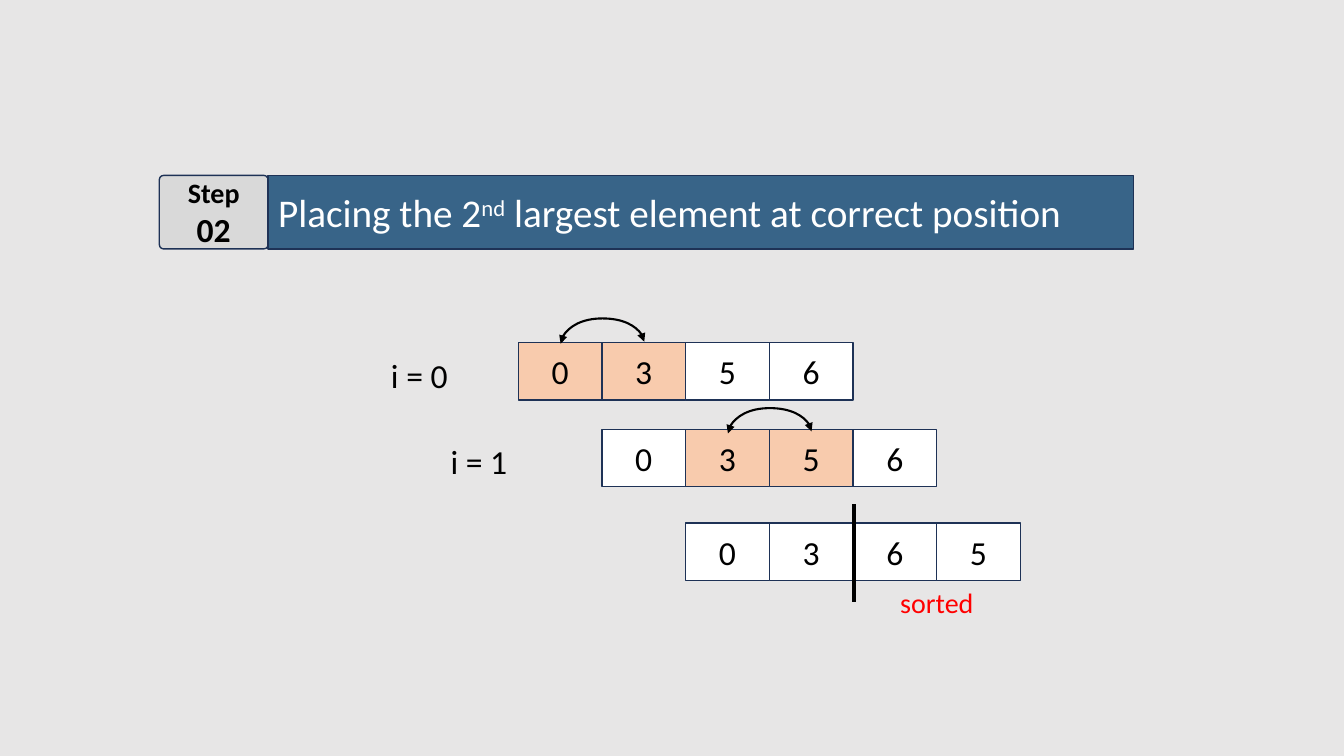
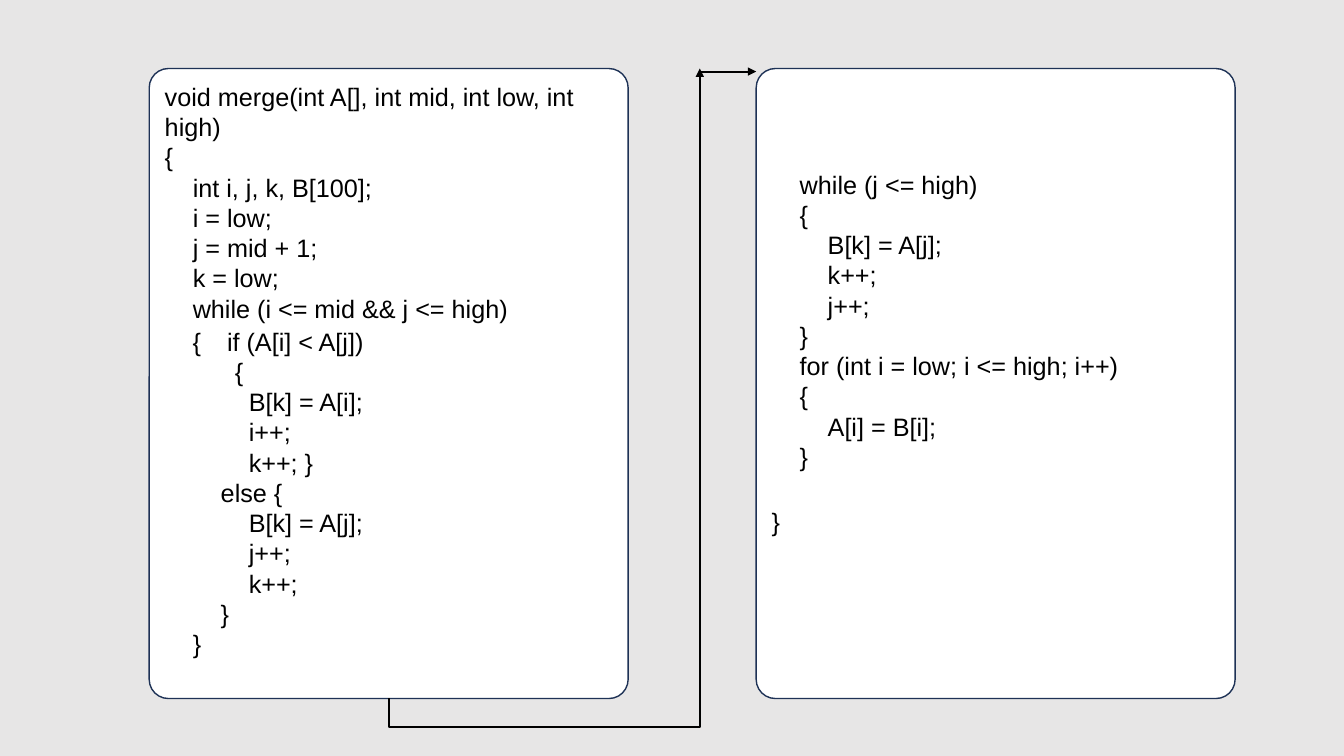
import pptx
import pptx.util
import pptx.dml.color
import pptx.enum.shapes
import pptx.enum.text
import pptx.oxml.ns
import lxml.etree

Inches, Pt = pptx.util.Inches, pptx.util.Pt
rgb = pptx.dml.color.RGBColor.from_string
SHAPE = pptx.enum.shapes.MSO_SHAPE
LINK = pptx.enum.shapes.MSO_CONNECTOR
ALIGN = pptx.enum.text.PP_ALIGN
ANCHOR = pptx.enum.text.MSO_ANCHOR
qn = pptx.oxml.ns.qn

BACKGROUND = "E7E6E6"
OUTLINE = "1E3256"
BANNER = "386488"
BADGE = "D9D9D9"
COMPARED = "F8CBAD"
WHITE = "FFFFFF"
BLACK = "000000"
RED = "FF0000"


def box(s, kind, x, y, w, h, text, size, fill=None, color=BLACK, font="Calibri", align=ALIGN.LEFT):
    """Add an outlined shape with text, or a plain text box when kind is None."""
    frame = Inches(x), Inches(y), Inches(w), Inches(h)
    if kind is None:
        sp = s.shapes.add_textbox(*frame)
    else:
        sp = s.shapes.add_shape(kind, *frame)
        sp.shadow.inherit = False
        sp.fill.solid()
        sp.fill.fore_color.rgb = rgb(fill)
        sp.line.color.rgb = rgb(OUTLINE)
        sp.line.width = Pt(1)
        sp.text_frame.vertical_anchor = ANCHOR.MIDDLE
    tf = sp.text_frame
    tf.word_wrap = kind is not None
    tf.text = text
    for p in tf.paragraphs:
        p.alignment = align
        for r in p.runs:
            r.font.name = font
            r.font.size = Pt(size)
            r.font.color.rgb = rgb(color)
    return sp


def link(s, kind, x1, y1, x2, y2, ends=(), rise=None, width=1.5):
    """Add a connector; with rise, it leaves vertically and turns that far above its start."""
    if rise is None:
        c = s.shapes.add_connector(kind, Inches(x1), Inches(y1), Inches(x2), Inches(y2))
    else:
        # The frame is stored unrotated, so its sides are swapped about the centre.
        cx, cy, dx, dy = (x1 + x2) / 2, (y1 + y2) / 2, (y1 - y2) / 2, (x2 - x1) / 2
        c = s.shapes.add_connector(kind, Inches(cx + dx), Inches(cy + dy),
                                   Inches(cx - dx), Inches(cy - dy))
        c._element.spPr.find(qn("a:xfrm")).set("rot", "5400000")
        guides = c._element.spPr.find(qn("a:prstGeom")).get_or_add_avLst()
        turn = round(rise / (y1 - y2) * 100000)
        lxml.etree.SubElement(guides, qn("a:gd"), name="adj1", fmla=f"val {turn}")
    c.line.color.rgb = rgb(BLACK)
    c.line.width = Pt(width)
    for end in ends:
        lxml.etree.SubElement(c.line._get_or_add_ln(), qn(f"a:{end}"), type="triangle")
    lxml.etree.SubElement(c._element.spPr, qn("a:effectLst"))


prs = pptx.Presentation()
prs.slide_width, prs.slide_height = Inches(13.33), Inches(7.5)
for _ in range(2):
    s = prs.slides.add_slide(prs.slide_layouts[6])
    s.background.fill.solid()
    s.background.fill.fore_color.rgb = rgb(BACKGROUND)
sort_slide, merge_slide = prs.slides

# Slide 1: second pass of the sort
s = sort_slide
sp = box(s, SHAPE.ROUNDED_RECTANGLE, 1.58, 1.74, 1.08, 0.73, "Step\n02", 20, BADGE, align=ALIGN.CENTER)
sp.adjustments[0] = 0.06
for p in sp.text_frame.paragraphs:
    p.runs[0].font.bold = True
p.runs[0].font.size = Pt(24)

sp = box(s, SHAPE.RECTANGLE, 2.66, 1.74, 8.58, 0.73, "Placing the 2", 28, BANNER, WHITE)
p = sp.text_frame.paragraphs[0]
for text in ("nd", " largest element at correct position"):
    r = p.add_run()
    r.text = text
    r.font.name = "Calibri"
    r.font.size = Pt(28)
    r.font.color.rgb = rgb(WHITE)
p.runs[1].font._element.set("baseline", "30000")

CELL_W, CELL_H, ARRAY_X = 0.83, 0.57, 5.14
# top, digits, compared cells
passes = [(3.4, "0356", (0, 1)), (4.26, "0356", (1, 2)), (5.19, "0365", ())]
for step, (y, digits, compared) in enumerate(passes):
    x = ARRAY_X + step * CELL_W
    for i, digit in enumerate(digits):
        box(s, SHAPE.RECTANGLE, x + i * CELL_W, y, CELL_W, CELL_H, digit, 24,
            COMPARED if i in compared else WHITE, align=ALIGN.CENTER)

for label, x, y in (("i = 0", 3.78, 3.47), ("i = 1", 4.37, 4.33)):
    box(s, None, x, y, 0.77, 0.5, label, 24)
for x, y in ((5.56, 3.41), (7.22, 4.3)):
    link(s, LINK.CURVE, x, y, x + CELL_W, y - 0.02, ("headEnd", "tailEnd"), rise=0.25)
box(s, None, 8.83, 5.76, 0.94, 0.44, "sorted", 20, color=RED)
link(s, LINK.STRAIGHT, 8.47, 5, 8.47, 5.97, width=2.25)

# Slide 2: merge function, each line with its indent in spaces
s = merge_slide
SPACE = Pt(5)
merge_start = [
    (0, "void merge(int A[], int mid, int low, int high)"),
    (0, "{"),
    (4, "int i, j, k, B[100];"),
    (4, "i = low;"),
    (4, "j = mid + 1;"),
    (4, "k = low;"),
    (4, "while (i <= mid && j <= high)"),
    (4, "{\tif (A[i] < A[j])"),
    (10, "{"),
    (12, "B[k] = A[i];"),
    (12, "i++;"),
    (12, "k++; }"),
    (8, "else {"),
    (12, "B[k] = A[j];"),
    (12, "j++;"),
    (12, "k++;"),
    (8, "}"),
    (4, "}"),
]
merge_end = [
    (4, "while (j <= high)"),
    (4, "{"),
    (8, "B[k] = A[j];"),
    (8, "k++;"),
    (8, "j++;"),
    (4, "}"),
    (4, "for (int i = low; i <= high; i++)"),
    (4, "{"),
    (8, "A[i] = B[i];"),
    (4, "}"),
    (0, "}"),
]
CARD_Y, CARD_W, CARD_H = 0.68, 4.75, 6.25
for x, margin_top, code in ((1.48, 0.07, merge_start), (7.5, 0.94, merge_end)):
    sp = box(s, SHAPE.ROUNDED_RECTANGLE, x, CARD_Y, CARD_W, CARD_H,
             "\n".join(text for _, text in code), 18, WHITE, font="Arial")
    sp.adjustments[0] = 0.04
    tf = sp.text_frame
    tf.vertical_anchor = ANCHOR.TOP
    tf.margin_top = Inches(margin_top)
    for p, (spaces, text) in zip(tf.paragraphs, code):
        p.line_spacing = Pt(21.6)
        # A tab jumps to the hanging indent
        hang = Inches(0.34) if "\t" in text else 0
        pPr = p._p.get_or_add_pPr()
        pPr.set("marL", str(spaces * SPACE + hang))
        pPr.set("indent", str(-hang))
        if hang:
            p.space_before = Pt(2)
p.space_before = Pt(25)

link(s, LINK.ELBOW, 3.86, CARD_Y + CARD_H, 6.94, CARD_Y, ("tailEnd",), rise=-0.28)
link(s, LINK.STRAIGHT, 6.94, 0.71, 7.5, 0.71, ("tailEnd",))

prs.save("out.pptx")
